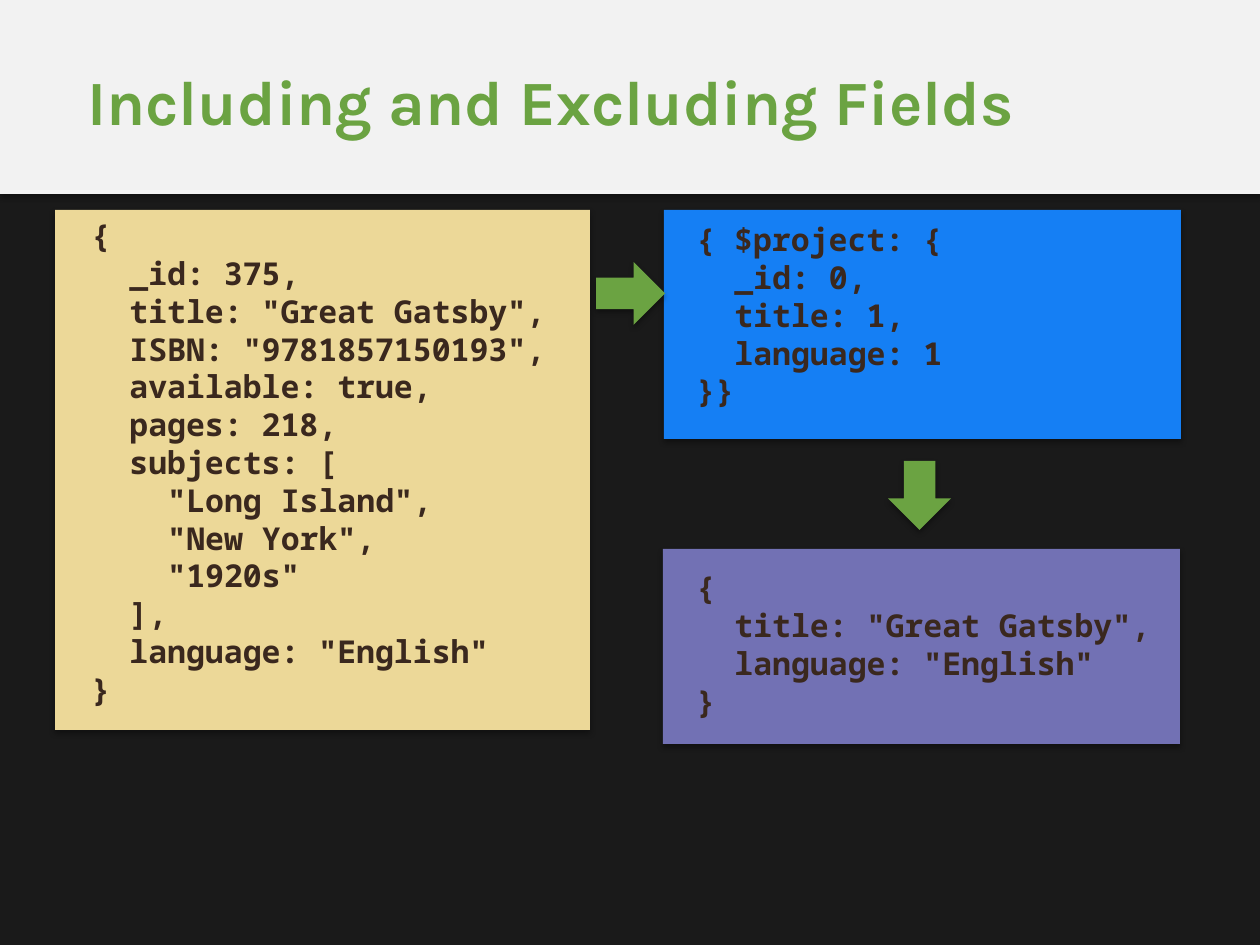
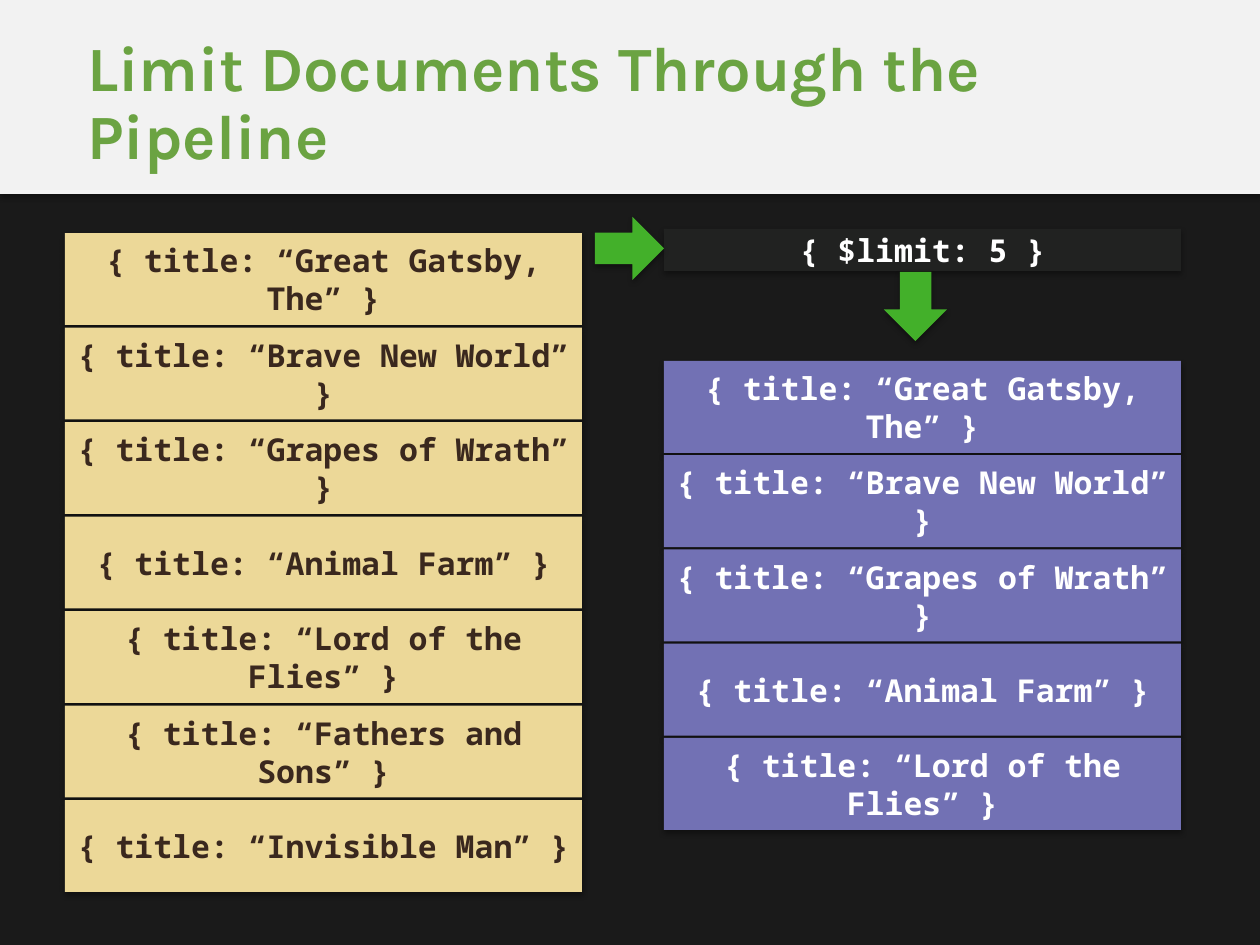
from dataclasses import dataclass

from lxml import etree
from pptx import Presentation
from pptx import util as u
from pptx.dml import color
from pptx.enum import shapes, text
from pptx.oxml import ns


@dataclass(frozen=True)
class Theme:
    back: str = "1A1A1A"
    band: str = "F2F2F2"
    title: str = "6BA342"
    leaf: str = "43B02A"
    sand: str = "ECD898"
    blue: str = "157FF4"
    plum: str = "7271B4"
    coal: str = "212221"
    ink: str = "3A281E"
    white: str = "FFFFFF"
    head: str = "Karla"
    mono: str = "Noto Sans Mono"
    large: int = 36
    body: int = 18


T = Theme()
WIDE, HIGH = 1260, 945
RIGHT, ROW_W, ROW_H = 664, 517, 92
TAB = 38
SCALE = u.Inches(1) / 126

SOURCE = """{
  _id: 375,
  title: "Great Gatsby",
  ISBN: "9781857150193",
  available: true,
  pages: 218,
  subjects: [
    "Long Island",
    "New York",
    "1920s"
  ],
  language: "English"
}"""

PROJECT = """{ $project: {
  _id: 0,
  title: 1,
  language: 1
}}"""

RESULT = """{
  title: "Great Gatsby",
  language: "English"
}"""

BOOKS = ["Great Gatsby, The", "Brave New World", "Grapes of Wrath",
         "Animal Farm", "Lord of the Flies", "Fathers and Sons",
         "Invisible Man"]
LIMIT = 5


def emu(px):
    return u.Emu(round(px * SCALE))


def place(box):
    return [emu(n) for n in box]


def rgb(code):
    return color.RGBColor.from_string(code)


def write(frame, words, font=T.mono, size=T.body, ink=T.ink, align=None,
          anchor=None, space=None, inset=None):
    frame.word_wrap = True
    if anchor is not None:
        frame.vertical_anchor = anchor
    if inset is not None:
        frame.margin_left = frame.margin_right = emu(inset)
        frame.margin_top = frame.margin_bottom = emu(inset)
    for i, line in enumerate(words.split("\n")):
        para = frame.add_paragraph() if i else frame.paragraphs[0]
        para.alignment = align
        para.line_spacing = space
        bare = line.lstrip()
        depth = (len(line) - len(bare)) // 2
        if depth:
            para._p.get_or_add_pPr().set("marL", str(emu(depth * TAB)))
        run = para.add_run()
        run.text = bare
        run.font.name = font
        run.font.size = u.Pt(size)
        run.font.bold = True
        run.font.color.rgb = rgb(ink)


def shade(shape):
    shape.shadow.inherit = False
    glow = shape._element.spPr.find(ns.qn("a:effectLst"))
    cast = etree.SubElement(glow, ns.qn("a:outerShdw"), blurRad=str(u.Pt(3.1)),
                            dist=str(u.Pt(1.8)), dir="5400000", rotWithShape="0")
    tone = etree.SubElement(cast, ns.qn("a:srgbClr"), val="000000")
    etree.SubElement(tone, ns.qn("a:alpha"), val="35000")


def block(slide, box, fill, kind=shapes.MSO_SHAPE.RECTANGLE):
    shape = slide.shapes.add_shape(kind, *place(box))
    shape.fill.solid()
    shape.fill.fore_color.rgb = rgb(fill)
    shape.line.fill.background()
    shade(shape)
    return shape


def arrow(slide, x, y, fill, turn=0):
    shape = block(slide, (x, y, 69, 63), fill, shapes.MSO_SHAPE.RIGHT_ARROW)
    shape.rotation = turn


def label(slide, box, words, fill, ink):
    shape = block(slide, box, fill)
    write(shape.text_frame, words, ink=ink, align=text.PP_ALIGN.CENTER,
          anchor=text.MSO_ANCHOR.MIDDLE)


def panel(slide, box, fill, code, inner):
    block(slide, box, fill)
    left, top, wide, high = inner
    area = box[0] + left, box[1] + top, wide, high
    frame = slide.shapes.add_textbox(*place(area)).text_frame
    frame.auto_size = text.MSO_AUTO_SIZE.SHAPE_TO_FIT_TEXT
    write(frame, code)


def stack(slide, box, books, fill, ink):
    left, top, wide, high = box
    pitch = (high - ROW_H) / (len(books) - 1)
    for i, book in enumerate(books):
        row = left, top + i * pitch, wide, ROW_H
        label(slide, row, f"{{ title: “{book}” }}", fill, ink)


def start(deck, title):
    slide = deck.slides.add_slide(deck.slide_layouts[6])
    slide.background.fill.solid()
    slide.background.fill.fore_color.rgb = rgb(T.back)
    block(slide, (0, 0, WIDE, 194), T.band)
    head = slide.shapes.add_textbox(*place((87, 47, 1089, 117)))
    write(head.text_frame, title, font=T.head, size=T.large, ink=T.title,
          anchor=text.MSO_ANCHOR.MIDDLE, space=0.9, inset=0)
    return slide


def fields(deck):
    slide = start(deck, "Including and Excluding Fields")
    panel(slide, (RIGHT, 210, ROW_W, 229), T.blue, PROJECT, (20, 4, 517, 204))
    panel(slide, (55, 210, 535, 520), T.sand, SOURCE, (24, 0, 481, 547))
    arrow(slide, 596, 262, T.title)
    arrow(slide, 885, 464, T.title, turn=90)
    panel(slide, (663, 549, ROW_W, 195), T.plum, RESULT, (21, 13, 494, 165))


def limit(deck):
    slide = start(deck, "Limit Documents Through the Pipeline")
    stack(slide, (RIGHT, 361, ROW_W, 469), BOOKS[:LIMIT], T.plum, T.white)
    label(slide, (RIGHT, 229, ROW_W, 42), f"{{ $limit: {LIMIT} }}", T.coal, T.white)
    arrow(slide, 595, 217, T.leaf)
    arrow(slide, 881, 275, T.leaf, turn=90)
    stack(slide, (65, 233, ROW_W, 659), BOOKS, T.sand, T.ink)


def main():
    deck = Presentation()
    deck.slide_width, deck.slide_height = emu(WIDE), emu(HIGH)
    fields(deck)
    limit(deck)
    deck.save("out.pptx")


if __name__ == "__main__":
    main()
